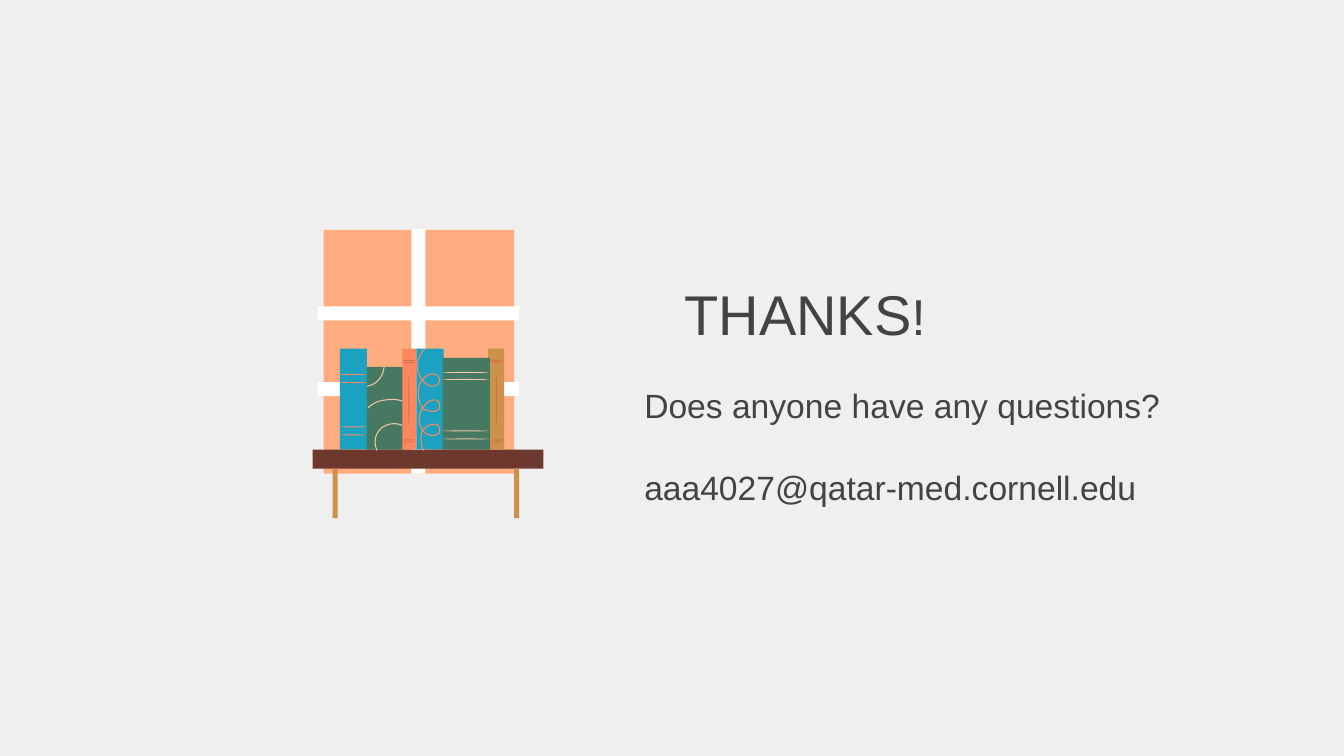
from dataclasses import dataclass
from typing import Any

from pptx import Presentation
from pptx import util as u
from pptx.dml.color import RGBColor
from pptx.enum import shapes, text

PX = 9144
INK = "434343"
TEAL, GREEN, CORAL, GOLD = "1BA2C0", "477861", "FD8860", "CC914A"
RUST, CREAM, WHITE = "D36E46", "F5C8A8", "FFFFFF"
RECT, OVAL = shapes.MSO_SHAPE.RECTANGLE, shapes.MSO_SHAPE.OVAL


@dataclass(frozen=True)
class Block:
    left: int
    top: int
    width: int
    height: int
    color: str
    kind: Any = RECT


@dataclass(frozen=True)
class Curve:
    color: str
    points: list[tuple[int, int]]


def px(num: float) -> u.Emu:
    return u.Emu(round(num * PX))


def paint(fmt: Any, color: str) -> None:
    fmt.solid()
    fmt.fore_color.rgb = RGBColor.from_string(color)


def place(shape: Any, left: int, top: int, width: int, height: int) -> None:
    shape.left, shape.top = px(left), px(top)
    shape.width, shape.height = px(width), px(height)


def draw(group: Any, block: Block) -> None:
    shape = group.shapes.add_shape(
        block.kind, px(block.left), px(block.top), px(block.width), px(block.height))
    shape.shadow.inherit = False
    paint(shape.fill, block.color)
    shape.line.fill.background()


def trace(group: Any, curve: Curve, steps: int = 10) -> None:
    pts = curve.points
    dots = []
    for i in range(0, len(pts) - 1, 3):
        a, b, c, d = pts[i:i + 4]
        for n in range(1, steps + 1):
            t = n / steps
            s = 1 - t
            dots.append(tuple(
                px(s**3 * a[k] + 3 * s * s * t * b[k] + 3 * s * t * t * c[k] + t**3 * d[k])
                for k in (0, 1)))
    form = group.shapes.build_freeform(px(pts[0][0]), px(pts[0][1]))
    form.add_line_segments(dots, close=False)
    shape = form.convert_to_shape()
    shape.shadow.inherit = False
    shape.fill.background()
    paint(shape.line.fill, curve.color)
    shape.line.width = u.Pt(0.75)


def bands(left: int, width: int, tops: list[int], color: str) -> list[Block]:
    return [Block(left, top, width, 1, color, OVAL) for top in tops]


def thin(left: int, width: int, color: str) -> list[Block]:
    return [
        Block(left, 346, width, 100, color),
        *bands(left + width - 14, 13, [357, 359, 436, 438], RUST),
        Block(left + width - 8, 372, 1, 51, RUST, OVAL),
    ]


def frame(box: Any) -> Any:
    body = box.text_frame
    body.margin_left = body.margin_right = body.margin_top = body.margin_bottom = 0
    body.word_wrap = True
    body.auto_size = text.MSO_AUTO_SIZE.NONE
    return body


def style(font: Any, size: int) -> None:
    font.name = "Arial"
    font.size = u.Pt(size)
    font.color.rgb = RGBColor.from_string(INK)


PANES = [
    Block(321, 228, 189, 242, "FFAD80"),
    Block(408, 227, 14, 243, WHITE),
    *[Block(315, top, 200, 14, WHITE) for top in (304, 379)],
]
SHELF = [
    Block(310, 446, 229, 19, "6D392F"),
    *[Block(left, 465, 5, 49, GOLD) for left in (330, 510)],
]
BOOKS = [
    Block(337, 346, 27, 100, TEAL),
    *bands(337, 27, [371, 379, 423, 431], CORAL),
    Block(364, 364, 36, 82, GREEN),
    *thin(399, 14, CORAL),
    *thin(484, 16, GOLD),
    Block(413, 346, 27, 100, TEAL),
    Block(439, 355, 47, 91, GREEN),
    *bands(439, 46, [369, 376, 427, 435], CREAM),
]
CURVES = [
    Curve(CREAM, [(381, 364), (380, 374), (373, 382), (364, 383)]),
    Curve(CREAM, [(365, 405), (366, 403), (373, 398), (381, 397),
                  (388, 396), (394, 396), (399, 398)]),
    Curve(CREAM, [(374, 447), (372, 443), (370, 433), (377, 426),
                  (383, 420), (392, 419), (399, 422)]),
    Curve(CORAL, [
        (422, 346), (418, 348), (414, 355), (414, 364),
        (414, 368), (416, 373), (419, 377),
        (421, 380), (424, 382), (427, 383),
        (432, 384), (437, 381), (436, 376),
        (435, 373), (433, 371), (429, 371),
        (425, 371), (421, 374), (419, 377),
        (416, 380), (414, 386), (415, 393),
        (415, 397), (417, 402), (419, 405),
        (422, 407), (425, 408), (428, 408),
        (432, 409), (437, 406), (436, 402),
        (436, 398), (433, 396), (430, 397),
        (425, 397), (422, 401), (419, 405),
        (417, 408), (415, 414), (416, 419),
        (416, 422), (418, 425), (419, 427),
        (422, 430), (425, 432), (429, 432),
        (433, 432), (437, 430), (436, 426),
        (436, 423), (433, 420), (430, 421),
        (425, 421), (422, 424), (419, 427),
        (417, 431), (417, 435), (418, 438),
        (418, 442), (419, 445), (420, 447),
    ]),
]


def main() -> None:
    deck = Presentation()
    deck.slide_width, deck.slide_height = px(1333), px(750)
    slide = deck.slides.add_slide(deck.slide_layouts[5])
    paint(slide.background.fill, "EFEFEF")

    title = slide.shapes.title
    place(title, 603, 233, 315, 111)
    head = frame(title)
    head.vertical_anchor = text.MSO_ANCHOR.BOTTOM
    line = head.paragraphs[0]
    line.alignment = text.PP_ALIGN.RIGHT
    for words, size in (("THANKS", 40), ("!", 36)):
        run = line.add_run()
        run.text = words
        style(run.font, size)

    note = slide.shapes.add_textbox(px(639), px(382), px(547), px(132))
    body = frame(note)
    body.text = "Does anyone have any questions?\naaa4027@qatar-med.cornell.edu"
    for line in body.paragraphs:
        style(line.font, 24)
    body.paragraphs[1].space_before = u.Pt(29.5)

    window = slide.shapes.add_group_shape()
    for block in PANES:
        draw(window, block)
    case = slide.shapes.add_group_shape()
    for block in SHELF + BOOKS:
        draw(case, block)
    for curve in CURVES:
        trace(case, curve)
    deck.save("out.pptx")


if __name__ == "__main__":
    main()
